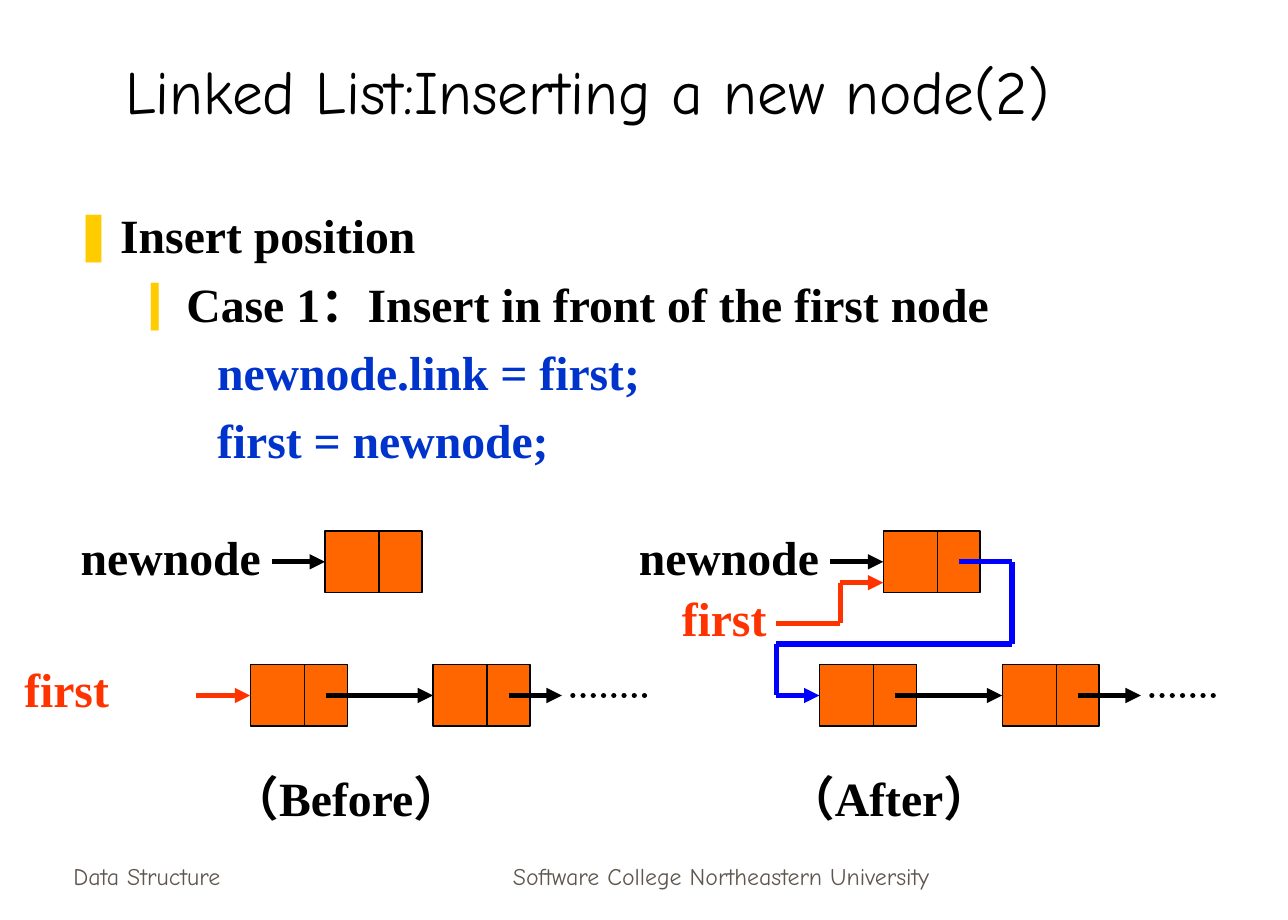
from lxml.etree import SubElement
from pptx import Presentation
from pptx.dml.color import RGBColor
from pptx.enum.dml import MSO_LINE
from pptx.enum.shapes import MSO_CONNECTOR, MSO_SHAPE
from pptx.enum.text import MSO_ANCHOR, MSO_AUTO_SIZE, PP_ALIGN
from pptx.oxml.ns import qn
from pptx.util import Inches, Pt

COLORS = {
    "black": "000000", "footer": "5E574E", "bullet": "FFCC00", "code": "0033CC",
    "node": "FF6600", "first": "FF3300", "link": "0000FF",
}
NODE_W, NODE_H, DATA_W = 0.79, 0.5, 0.44
LINK_X = 0.62  # where a link starts, inside the pointer field
TOP_Y, LIST_Y = 4.33, 5.42
TOP_MID, LIST_MID = TOP_Y + NODE_H / 2, LIST_Y + NODE_H / 2


class ListSlide:
    def __init__(self, prs):
        self.heading_font = "Comic Neue"
        self.body_font = "Times New Roman"
        self.slide = prs.slides.add_slide(prs.slide_layouts[1])

    def color(self, name):
        return RGBColor.from_string(COLORS[name])

    def format_runs(self, p, font, size, color, bold):
        for r in p.runs:
            r.font.name = font
            r.font.size = Pt(size)
            r.font.bold = bold
            r.font.color.rgb = self.color(color)

    def place(self, sp, left, top, width, height):
        sp.left, sp.top = Inches(left), Inches(top)
        sp.width, sp.height = Inches(width), Inches(height)

    def title(self, text, *box):
        sp = self.slide.shapes.title
        self.place(sp, *box)
        tf = sp.text_frame
        tf.text = text
        tf.auto_size = MSO_AUTO_SIZE.NONE
        tf.vertical_anchor = MSO_ANCHOR.BOTTOM
        p = tf.paragraphs[0]
        p.alignment = PP_ALIGN.LEFT
        self.format_runs(p, self.heading_font, 36, "black", False)

    def body(self, items, *box):
        """Fill the list from (text, level, margin, indent, bullet, color) items."""
        sp = self.slide.placeholders[1]
        self.place(sp, *box)
        tf = sp.text_frame
        tf.auto_size = MSO_AUTO_SIZE.NONE
        for i, (text, level, margin, indent, bullet, color) in enumerate(items):
            p = tf.add_paragraph() if i else tf.paragraphs[0]
            p.text = text
            p.level = level
            pPr = p._p.get_or_add_pPr()
            pPr.set("marL", str(Inches(margin)))
            pPr.set("indent", str(Inches(indent)))
            if bullet:
                clr = SubElement(pPr, qn("a:buClr"))
                SubElement(clr, qn("a:srgbClr")).set("val", COLORS["bullet"])
                SubElement(pPr, qn("a:buChar")).set("char", bullet)
            else:
                SubElement(pPr, qn("a:buNone"))
            p.space_before = Pt(6.5 if i else 0)
            self.format_runs(p, self.body_font, 28, color, True)

    def textbox(self, text, left, top, width, height, font, size, color, bold):
        sp = self.slide.shapes.add_textbox(
            Inches(left), Inches(top), Inches(width), Inches(height))
        tf = sp.text_frame
        tf.word_wrap = True
        tf.text = text
        self.format_runs(tf.paragraphs[0], font, size, color, bold)
        return tf

    def label(self, text, left, top, width=1.75, color="black"):
        self.textbox(text, left, top, width, 0.57, self.body_font, 28, color, True)

    def footer(self, text, left, width, align):
        tf = self.textbox(text, left, 6.81, width, 0.5,
                          self.heading_font, 14, "footer", False)
        tf.vertical_anchor = MSO_ANCHOR.BOTTOM
        tf.paragraphs[0].alignment = align

    def line(self, start, end, color="black", width=3.0):
        cn = self.slide.shapes.add_connector(
            MSO_CONNECTOR.STRAIGHT, *(Inches(v) for v in (*start, *end)))
        cn.line.color.rgb = self.color(color)
        cn.line.width = Pt(width)
        SubElement(cn._element.spPr, qn("a:effectLst"))
        return cn

    def arrow(self, *points, color="black"):
        """Draw straight segments through the points, with a head on the last."""
        for start, end in zip(points, points[1:]):
            cn = self.line(start, end, color)
        SubElement(cn.line._get_or_add_ln(), qn("a:tailEnd")).set("type", "triangle")

    def dots(self, left, right):
        cn = self.line((left, LIST_MID), (right, LIST_MID))
        cn.line.dash_style = MSO_LINE.ROUND_DOT
        cn.line._get_or_add_ln().set("cap", "rnd")

    def node(self, left, top):
        sp = self.slide.shapes.add_shape(
            MSO_SHAPE.RECTANGLE, Inches(left), Inches(top),
            Inches(NODE_W), Inches(NODE_H))
        sp.shadow.inherit = False
        sp.fill.solid()
        sp.fill.fore_color.rgb = self.color("node")
        sp.line.color.rgb = self.color("black")
        sp.line.width = Pt(0.75)
        x = left + DATA_W
        self.line((x, top), (x, top + NODE_H), width=0.75)

    def new_node(self, left):
        self.node(left, TOP_Y)
        self.label("newnode", left - 2.09, TOP_Y - 0.08)
        self.arrow((left - 0.43, TOP_MID), (left, TOP_MID))

    def linked_list(self, left, arrow_end, dots_end):
        second = left + 1.49
        self.node(left, LIST_Y)
        self.node(second, LIST_Y)
        self.arrow((left + LINK_X, LIST_MID), (second, LIST_MID))
        self.arrow((second + LINK_X, LIST_MID), (arrow_end, LIST_MID))
        self.dots(arrow_end + 0.09, dots_end)


def main():
    prs = Presentation()
    prs.slide_width, prs.slide_height = Inches(10.5), Inches(7.5)
    s = ListSlide(prs)

    s.title("Linked List:Inserting a new node(2)", 0.92, 0.25, 8.93, 0.83)
    s.body([
        ("Insert position", 0, 0.38, -0.38, "❚", "black"),
        ("Case 1：Insert in front of the first node", 1, 0.92, -0.42, "❙", "black"),
        ("newnode.link = first;", 0, 1.17, 0, None, "code"),
        ("first = newnode;", 0, 1.17, 0, None, "code"),
    ], 0.5, 1.63, 9.8, 2.5)

    # Before
    before = 2.04
    s.new_node(2.65)
    s.linked_list(before, 4.58, 5.28)
    s.label("first", 0.1, 5.33, 1.2, "first")
    s.arrow((1.6, LIST_MID), (before, LIST_MID), color="first")
    s.label("（Before）", 1.79, 6.22, 2.5)

    # After
    new, after = 7.2, 6.68
    s.new_node(new)
    s.linked_list(after, 9.3, 9.92)
    s.label("first", 5.46, 4.75, 1.0, "first")
    s.arrow((6.33, 5.08), (6.85, 5.08), (6.85, 4.75), (new, 4.75), color="first")
    s.arrow((new + LINK_X, TOP_MID), (8.25, TOP_MID), (8.25, 5.25),
            (6.33, 5.25), (6.33, LIST_MID), (after, LIST_MID), color="link")
    s.label("（After）", 6.32, 6.22, 2.5)

    s.footer("Data Structure", 0.5, 2.19, PP_ALIGN.LEFT)
    s.footer("Software College Northeastern University", 3.59, 4.58, PP_ALIGN.CENTER)
    prs.save("out.pptx")


if __name__ == "__main__":
    main()
